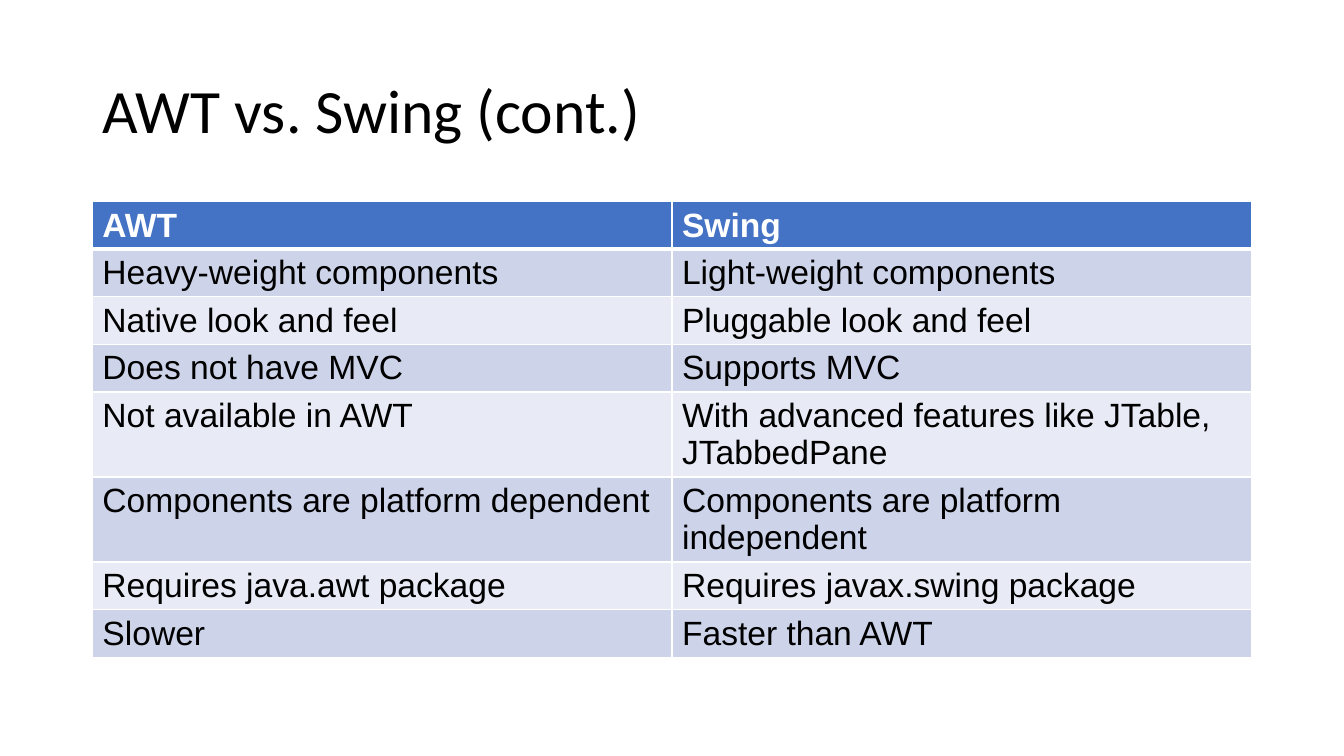
from dataclasses import dataclass

import pptx
import pptx.dml.color
import pptx.enum.text
import pptx.oxml
import pptx.oxml.ns
import pptx.util

TITLE = "AWT vs. Swing (cont.)"
ROWS = [
    ("AWT", "Swing"),
    ("Heavy-weight components", "Light-weight components"),
    ("Native look and feel", "Pluggable look and feel"),
    ("Does not have MVC", "Supports MVC"),
    ("Not available in AWT", "With advanced features like JTable, JTabbedPane"),
    ("Components are platform dependent", "Components are platform independent"),
    ("Requires java.awt package", "Requires javax.swing package"),
    ("Slower", "Faster than AWT"),
]


@dataclass(frozen=True)
class Theme:
    title_font: str = "Calibri"
    table_font: str = "Arial"
    title_size: int = 44
    table_size: int = 24
    text: str = "000000"
    header_text: str = "FFFFFF"
    header_fill: str = "4472C4"
    bands: tuple = ("CDD4EA", "E8EBF5")
    border: str = "FFFFFF"
    thin: int = 1
    thick: int = 3


THEME = Theme()
Pt = pptx.util.Pt
LEFT, WIDTH = 66, 828
TITLE_TOP, TITLE_HEIGHT = 28.75, 104.38
TABLE_TOP, ROW_HEIGHT = 144, 29.5


def add_run(paragraph, text, font_name, size, color, bold=False):
    run = paragraph.add_run()
    run.text = text
    run.font.name = font_name
    run.font.size = Pt(size)
    run.font.bold = bold
    run.font.color.rgb = pptx.dml.color.RGBColor.from_string(color)


def add_borders(cell, row_index):
    widths = {
        "lnL": THEME.thin,
        "lnR": THEME.thin,
        "lnT": THEME.thick if row_index == 1 else THEME.thin,
        "lnB": THEME.thick if row_index == 0 else THEME.thin,
    }
    properties = cell._tc.get_or_add_tcPr()
    for side, width in widths.items():
        properties.append(pptx.oxml.parse_xml(
            f'<a:{side} {pptx.oxml.ns.nsdecls("a")} w="{Pt(width)}"><a:solidFill>'
            f'<a:srgbClr val="{THEME.border}"/></a:solidFill></a:{side}>'
        ))


def add_title(slide):
    title = slide.shapes.title
    title.left, title.top = Pt(LEFT), Pt(TITLE_TOP)
    title.width, title.height = Pt(WIDTH), Pt(TITLE_HEIGHT)
    title.text_frame.vertical_anchor = pptx.enum.text.MSO_ANCHOR.MIDDLE
    paragraph = title.text_frame.paragraphs[0]
    paragraph.alignment = pptx.enum.text.PP_ALIGN.LEFT
    paragraph.line_spacing = 0.9
    add_run(paragraph, TITLE, THEME.title_font, THEME.title_size, THEME.text)


def add_comparison(slide):
    table = slide.shapes.add_table(
        len(ROWS), len(ROWS[0]), Pt(LEFT), Pt(TABLE_TOP),
        Pt(WIDTH), Pt(ROW_HEIGHT * len(ROWS)),
    ).table
    for row_index, row in enumerate(ROWS):
        header = row_index == 0
        fill = THEME.header_fill if header else THEME.bands[(row_index - 1) % 2]
        color = THEME.header_text if header else THEME.text
        for column_index, text in enumerate(row):
            cell = table.cell(row_index, column_index)
            add_borders(cell, row_index)
            cell.fill.solid()
            cell.fill.fore_color.rgb = pptx.dml.color.RGBColor.from_string(fill)
            add_run(cell.text_frame.paragraphs[0], text, THEME.table_font,
                    THEME.table_size, color, bold=header)


def main():
    presentation = pptx.Presentation()
    presentation.slide_width, presentation.slide_height = Pt(960), Pt(540)
    slide = presentation.slides.add_slide(presentation.slide_layouts[5])
    add_title(slide)
    add_comparison(slide)
    presentation.save("out.pptx")


if __name__ == "__main__":
    main()
